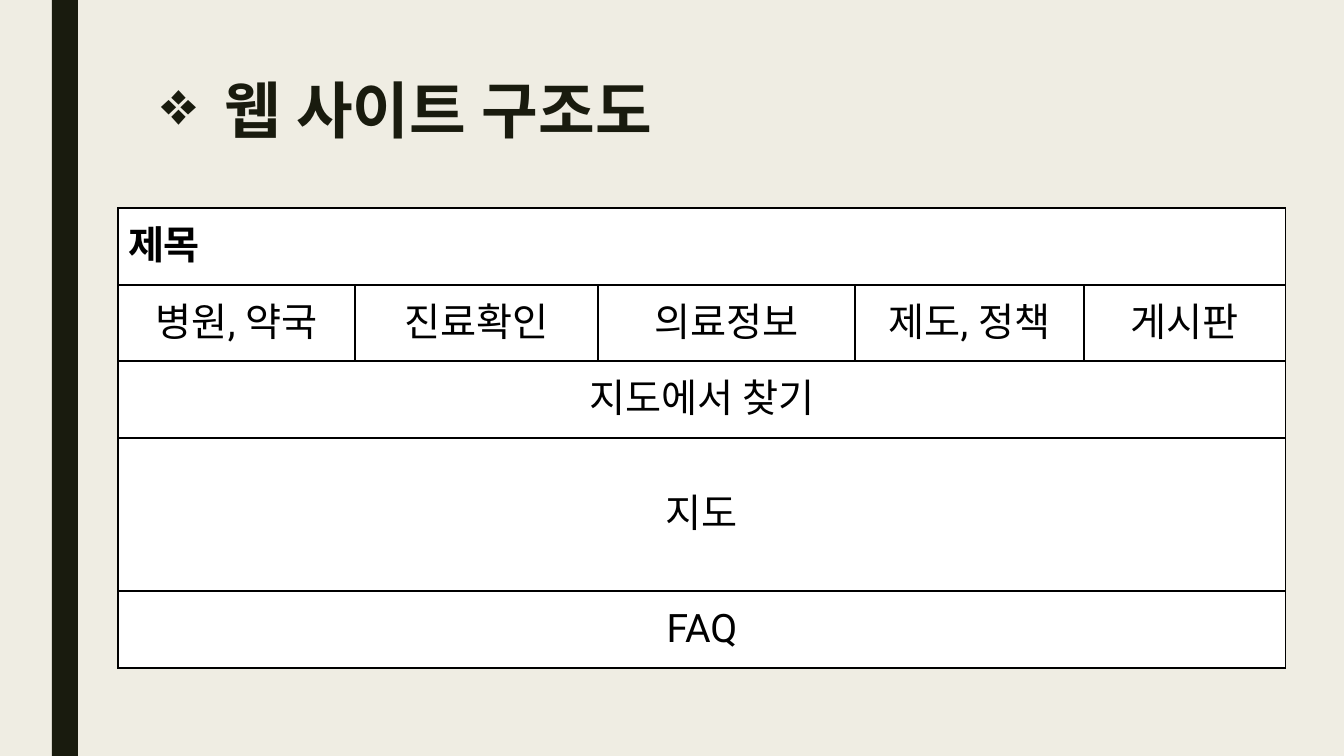
from lxml import etree
from pptx import Presentation
from pptx.dml.color import RGBColor
from pptx.enum.shapes import MSO_SHAPE
from pptx.enum.text import MSO_ANCHOR, MSO_AUTO_SIZE, PP_ALIGN
from pptx.oxml.ns import qn
from pptx.util import Emu, Pt

RECTANGLE = MSO_SHAPE.RECTANGLE
TOP, MIDDLE = MSO_ANCHOR.TOP, MSO_ANCHOR.MIDDLE
LEFT, CENTER = PP_ALIGN.LEFT, PP_ALIGN.CENTER
NO_AUTOFIT = MSO_AUTO_SIZE.NONE
TITLE_ONLY = 5
EMU_PER_PIXEL = 914400 / 100.8
FONT = "Roboto"
COLORS = {"paper": "EFEDE3", "ink": "191B0E", "black": "000000", "white": "FFFFFF"}

COLUMN_WIDTHS = [237, 243, 257, 229, 202]
ROW_HEIGHTS = [77, 76, 77, 153, 77]
SITE_ROWS = [
    ["제목"],
    ["병원, 약국", "진료확인", "의료정보", "제도, 정책", "게시판"],
    ["지도에서 찾기"],
    ["지도"],
    ["FAQ"],
]


def px(length):
    """Turn pixels into EMU."""
    return Emu(round(length * EMU_PER_PIXEL))


def color(name):
    """Look up a named colour."""
    return RGBColor.from_string(COLORS[name])


def add_span(para, text, size, color_name, bold=False):
    """Add one formatted run to a paragraph."""
    span = para.add_run()
    span.text = text
    span.font.size = Pt(size)
    span.font.bold = bold
    span.font.name = FONT
    span.font.color.rgb = color(color_name)
    east_asian = etree.SubElement(span.font._element, qn("a:ea"))
    east_asian.set("typeface", FONT)


def add_side_bar(page):
    """Draw the dark vertical bar at the left."""
    bar = page.shapes.add_shape(RECTANGLE, px(52), 0, px(26), px(756))
    bar.shadow.inherit = False
    bar.fill.solid()
    bar.fill.fore_color.rgb = color("ink")
    bar.line.fill.background()


def set_title(page, text):
    """Place the title and give it a diamond bullet."""
    box = page.shapes.title
    box.left, box.top, box.width, box.height = px(151), px(76), px(1058), px(163)
    frame = box.text_frame
    frame.auto_size = NO_AUTOFIT
    frame.word_wrap = True
    frame.vertical_anchor = TOP
    para = frame.paragraphs[0]
    para.alignment = LEFT
    para.line_spacing = 0.89
    add_span(para, text, 44, "ink", bold=True)
    properties = para._p.get_or_add_pPr()
    properties.set("marL", str(px(63)))
    properties.set("indent", str(-px(63)))
    etree.SubElement(properties, qn("a:buChar")).set("char", "❖")


def style_cell(cell):
    """Give a cell a white fill and thin black borders."""
    cell.fill.solid()
    cell.fill.fore_color.rgb = color("white")
    properties = cell._tc.get_or_add_tcPr()
    for position, side in enumerate(("lnL", "lnR", "lnT", "lnB")):
        border = etree.Element(qn("a:" + side), w=str(Pt(1)))
        fill = etree.SubElement(border, qn("a:solidFill"))
        etree.SubElement(fill, qn("a:srgbClr")).set("val", COLORS["black"])
        properties.insert(position, border)


def add_site_table(page):
    """Build the site layout; a row with one entry spans all columns."""
    frame = page.shapes.add_table(
        len(ROW_HEIGHTS), len(COLUMN_WIDTHS), px(118), px(208),
        px(sum(COLUMN_WIDTHS)), px(sum(ROW_HEIGHTS)))
    table = frame.table
    for column, width in zip(table.columns, COLUMN_WIDTHS):
        column.width = px(width)
    for row, height in zip(table.rows, ROW_HEIGHTS):
        row.height = px(height)
    for cell in table.iter_cells():
        style_cell(cell)
    last_column = len(COLUMN_WIDTHS) - 1
    for row_index, labels in enumerate(SITE_ROWS):
        if len(labels) == 1:
            table.cell(row_index, 0).merge(table.cell(row_index, last_column))
        is_heading = row_index == 0
        for column_index, label in enumerate(labels):
            cell = table.cell(row_index, column_index)
            cell.vertical_anchor = MIDDLE
            para = cell.text_frame.paragraphs[0]
            para.alignment = LEFT if is_heading else CENTER
            add_span(para, label, 28, "black", bold=is_heading)


def main():
    """Build and save the slide."""
    deck = Presentation()
    deck.slide_width, deck.slide_height = px(1344), px(756)
    page = deck.slides.add_slide(deck.slide_layouts[TITLE_ONLY])
    page.background.fill.solid()
    page.background.fill.fore_color.rgb = color("paper")
    add_side_bar(page)
    set_title(page, "웹 사이트 구조도")
    add_site_table(page)
    deck.save("out.pptx")


main()
